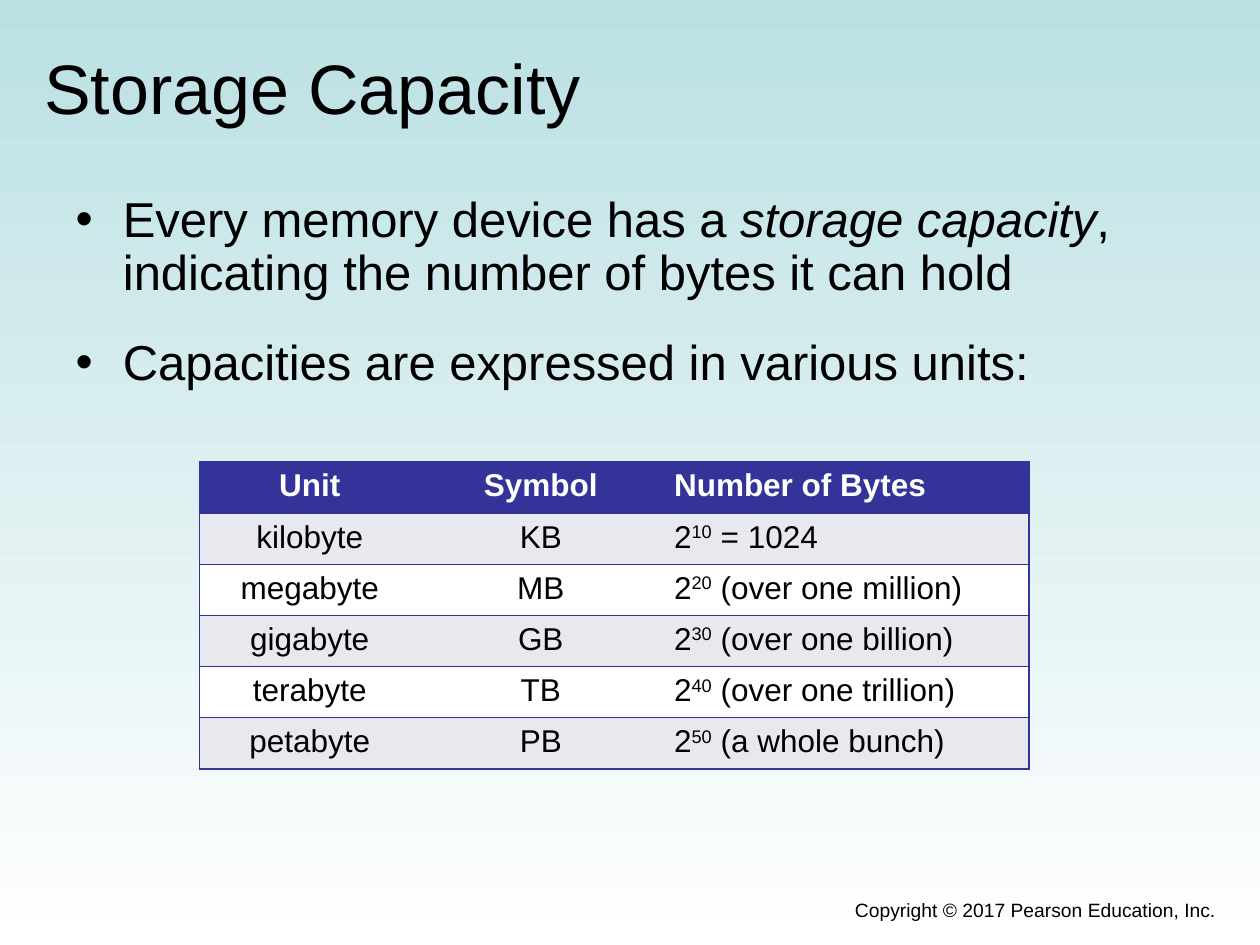
"""Build the Storage Capacity slide with its bullets and table of units."""

from dataclasses import dataclass

import lxml.etree
import pptx
import pptx.dml.color
import pptx.enum.text
import pptx.oxml.ns
import pptx.util

Pt = pptx.util.Pt
ALIGN = pptx.enum.text.PP_ALIGN
ANCHOR = pptx.enum.text.MSO_ANCHOR
COLORS = {
    "sky": "BBE0E3",
    "white": "FFFFFF",
    "black": "000000",
    "navy": "333399",
    "band": "E8E8EF",
}
FONT = "Arial"
COLUMN_WIDTHS = (126, 138, 210)
ROW_HEIGHT = 29.25


@dataclass(frozen=True)
class Span:
    text: str
    italic: bool = False
    raised: bool = False


@dataclass(frozen=True)
class Bullet:
    spans: tuple[Span, ...]
    space_before: float


@dataclass(frozen=True)
class Unit:
    name: str
    symbol: str
    exponent: int
    remark: str


BULLETS = (
    Bullet(
        (
            Span("Every memory device has a "),
            Span("storage capacity", italic=True),
            Span(", indicating the number of bytes it can hold"),
        ),
        0,
    ),
    Bullet((Span("Capacities are expressed in various units:"),), 21),
)
HEADINGS = ("Unit", "Symbol", "Number of Bytes")
UNITS = (
    Unit("kilobyte", "KB", 10, "= 1024"),
    Unit("megabyte", "MB", 20, "(over one million)"),
    Unit("gigabyte", "GB", 30, "(over one billion)"),
    Unit("terabyte", "TB", 40, "(over one trillion)"),
    Unit("petabyte", "PB", 50, "(a whole bunch)"),
)


def rgb(name: str) -> pptx.dml.color.RGBColor:
    return pptx.dml.color.RGBColor.from_string(COLORS[name])


def add_element(parent, tag: str, **attributes: str):
    return lxml.etree.SubElement(parent, pptx.oxml.ns.qn(tag), attributes)


def place(shape, left: float, top: float, width: float, height: float) -> None:
    shape.left, shape.top = Pt(left), Pt(top)
    shape.width, shape.height = Pt(width), Pt(height)


def write(paragraph, spans: tuple[Span, ...], size: float, color: str = "black",
          bold: bool = False, align=ALIGN.LEFT) -> None:
    paragraph.alignment = align
    for span in spans:
        run = paragraph.add_run()
        run.text = span.text
        run.font.name, run.font.size = FONT, Pt(size)
        run.font.bold, run.font.italic = bold, span.italic
        run.font.color.rgb = rgb(color)
        if span.raised:
            run.font._element.set("baseline", "30000")


def paint_background(slide) -> None:
    fill = slide.background.fill
    fill.gradient()
    fill.gradient_angle = 270
    for stop, position, color in zip(fill.gradient_stops, (0, 1), ("sky", "white")):
        stop.position = position
        stop.color.rgb = rgb(color)


def fill_title(title) -> None:
    place(title, 18, 21.6, 684, 56.2)
    title.text_frame.auto_size = pptx.enum.text.MSO_AUTO_SIZE.NONE
    title.text_frame.vertical_anchor = ANCHOR.MIDDLE
    write(title.text_frame.paragraphs[0], (Span("Storage Capacity"),), 40)


def fill_body(body) -> None:
    place(body, 36, 108, 654, 130)
    frame = body.text_frame
    frame.auto_size = pptx.enum.text.MSO_AUTO_SIZE.NONE
    frame.vertical_anchor = ANCHOR.TOP
    for index, bullet in enumerate(BULLETS):
        paragraph = frame.add_paragraph() if index else frame.paragraphs[0]
        properties = paragraph._p.get_or_add_pPr()
        properties.set("marL", str(Pt(27)))
        properties.set("indent", str(-Pt(27)))
        add_element(properties, "a:buChar", char="•")
        paragraph.line_spacing = 0.9
        paragraph.space_before = Pt(bullet.space_before)
        write(paragraph, bullet.spans, 28)


def add_borders(cell, first: bool, last: bool) -> None:
    properties = cell._tc.get_or_add_tcPr()
    sides = {"a:lnL": first, "a:lnR": last, "a:lnT": True, "a:lnB": True}
    for tag, visible in sides.items():
        line = add_element(properties, tag, w=str(Pt(1)))
        if visible:
            add_element(add_element(line, "a:solidFill"), "a:srgbClr", val=COLORS["navy"])
        else:
            add_element(line, "a:noFill")


def add_unit_table(slide) -> None:
    rows = [tuple((Span(heading),) for heading in HEADINGS)]
    for unit in UNITS:
        size = (Span("2"), Span(str(unit.exponent), raised=True), Span(f" {unit.remark}"))
        rows.append(((Span(unit.name),), (Span(unit.symbol),), size))
    table = slide.shapes.add_table(
        len(rows), len(HEADINGS), Pt(114), Pt(264),
        Pt(sum(COLUMN_WIDTHS)), Pt(ROW_HEIGHT * len(rows)),
    ).table
    for column, width in zip(table.columns, COLUMN_WIDTHS):
        column.width = Pt(width)
    last = len(HEADINGS) - 1
    for row_index, row in enumerate(rows):
        table.rows[row_index].height = Pt(ROW_HEIGHT)
        header = row_index == 0
        background = "navy" if header else ("white", "band")[row_index % 2]
        for column_index, spans in enumerate(row):
            cell = table.cell(row_index, column_index)
            add_borders(cell, column_index == 0, column_index == last)
            cell.fill.solid()
            cell.fill.fore_color.rgb = rgb(background)
            write(
                cell.text_frame.paragraphs[0], spans, 18,
                "white" if header else "black", header,
                ALIGN.LEFT if column_index == last else ALIGN.CENTER,
            )


def add_copyright(slide) -> None:
    notice = slide.shapes.add_textbox(Pt(264), Pt(510), Pt(438), Pt(24.5))
    notice.text_frame.word_wrap = True
    spans = (Span("Copyright © 2017 Pearson Education, Inc."),)
    write(notice.text_frame.paragraphs[0], spans, 11, align=ALIGN.RIGHT)


def main() -> None:
    deck = pptx.Presentation()
    deck.slide_width, deck.slide_height = Pt(720), Pt(540)
    slide = deck.slides.add_slide(deck.slide_layouts[1])
    paint_background(slide)
    fill_title(slide.shapes.title)
    fill_body(slide.placeholders[1])
    add_copyright(slide)
    add_unit_table(slide)
    deck.save("out.pptx")


if __name__ == "__main__":
    main()
